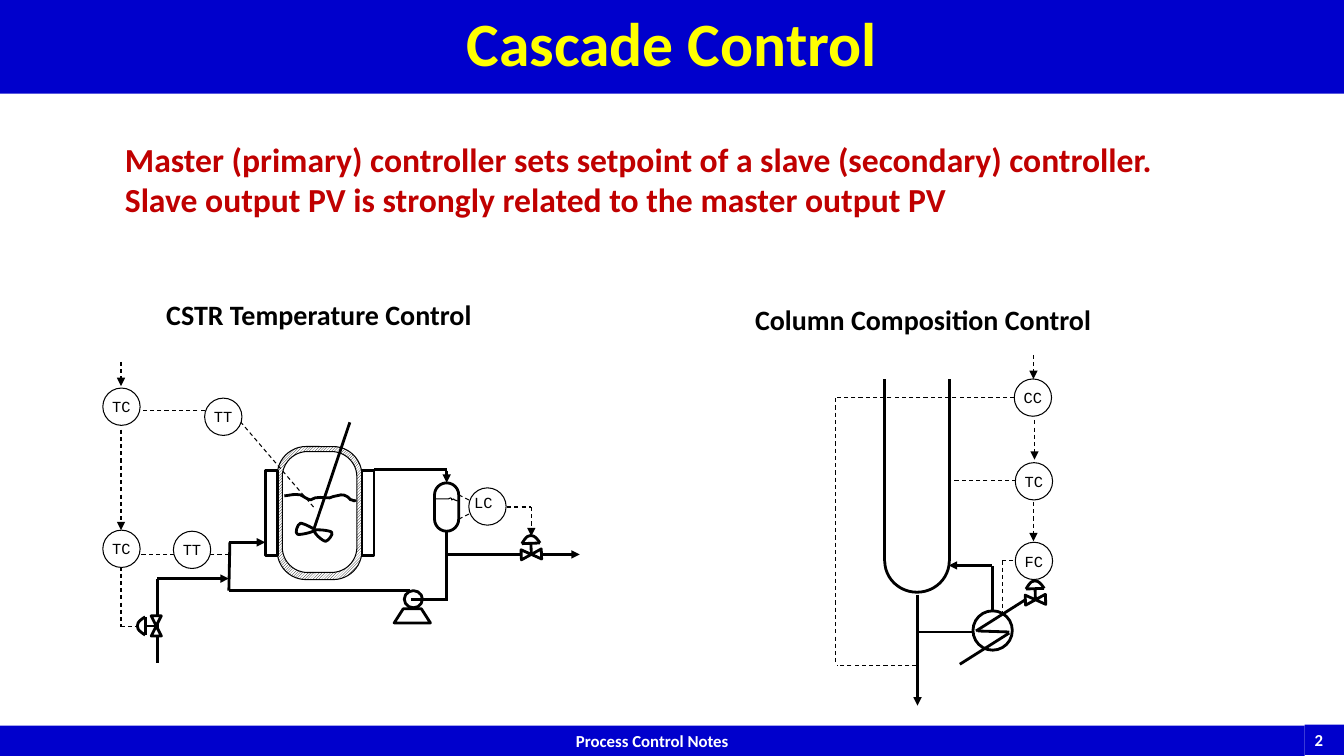
import math

import lxml.etree
import pptx
import pptx.dml.color
import pptx.enum.dml
import pptx.enum.shapes
import pptx.enum.text
import pptx.oxml.ns
import pptx.util

Inches = pptx.util.Inches
Pt = pptx.util.Pt
qn = pptx.oxml.ns.qn
SHAPE = pptx.enum.shapes.MSO_SHAPE
ALIGN = pptx.enum.text.PP_ALIGN
ANCHOR = pptx.enum.text.MSO_ANCHOR
FIT = pptx.enum.text.MSO_AUTO_SIZE.SHAPE_TO_FIT_TEXT

COLOURS = {"band": "0000CC", "title": "FFFF00", "message": "C00000",
           "ink": "000000", "paper": "FFFFFF"}
FONTS = {
    "title": {"name": "Calibri", "size": Pt(44), "bold": True},
    "message": {"name": "Calibri", "size": Pt(24), "bold": True},
    "heading": {"name": "Calibri", "size": Pt(20), "bold": True},
    "footer": {"name": "Calibri", "size": Pt(12), "bold": True},
    "tag": {"name": "Courier New", "size": Pt(11), "bold": False},
}
THIN, THICK = 0.75, 2
TAG_SIZE = 0.37


def colour(name):
    return pptx.dml.color.RGBColor.from_string(COLOURS[name])


def write(box, text, font, ink, align=ALIGN.LEFT, **frame_format):
    frame = box.text_frame
    for key, value in frame_format.items():
        setattr(frame, key, value)
    para = frame.paragraphs[0]
    para.alignment = align
    span = para.add_run()
    span.text = text
    for key, value in FONTS[font].items():
        setattr(span.font, key, value)
    span.font.color.rgb = colour(ink)
    return para


def paint(shape, fill, width):
    shape.shadow.inherit = False
    if fill:
        shape.fill.solid()
        shape.fill.fore_color.rgb = colour(fill)
    else:
        shape.fill.background()
    if width:
        shape.line.color.rgb = colour("ink")
        shape.line.width = Pt(width)
    else:
        shape.line.fill.background()
    return shape


def add_block(shapes, kind, at, fill="paper", width=THICK, rotation=0, corner=None):
    shape = shapes.add_shape(kind, *map(Inches, at))
    shape.rotation = rotation
    if corner is not None:
        shape.adjustments[0] = corner
    return paint(shape, fill, width)


def add_label(shapes, at, text, font, ink):
    box = shapes.add_textbox(*map(Inches, at))
    write(box, text, font, ink, word_wrap=True, auto_size=FIT)


def add_line(shapes, x1, y1, x2, y2, arrow=False, width=THICK, dashed=False):
    line = shapes.add_connector(pptx.enum.shapes.MSO_CONNECTOR.STRAIGHT,
                                *map(Inches, (x1, y1, x2, y2)))
    line.line.color.rgb = colour("ink")
    line.line.width = Pt(width)
    if dashed:
        line.line.dash_style = pptx.enum.dml.MSO_LINE.DASH
    properties = line._element.spPr
    if arrow:
        lxml.etree.SubElement(properties.find(qn("a:ln")), qn("a:tailEnd"), type="triangle")
    lxml.etree.SubElement(properties, qn("a:effectLst"))
    return line


def add_pipes(shapes, runs):
    for run in runs:
        add_line(shapes, *run)


def add_signals(shapes, runs):
    for run in runs:
        add_line(shapes, *run, width=THIN, dashed=True)


def add_outline(shapes, points, fill=None, width=THICK):
    corners = [(Inches(x), Inches(y)) for x, y in points]
    builder = shapes.build_freeform(*corners[0], scale=1.0)
    builder.add_line_segments(corners[1:], close=fill is not None)
    return paint(builder.convert_to_shape(), fill, width)


def add_curve(shapes, points, fill=None, width=THICK):
    shape = add_outline(shapes, points, fill, width)
    outline = next(shape._element.iter(qn("a:path")))
    steps = outline.findall(qn("a:lnTo"))[:len(points) - 1]
    for first in range(0, len(steps), 3):
        bend = lxml.etree.Element(qn("a:cubicBezTo"))
        steps[first].addprevious(bend)
        for step in steps[first:first + 3]:
            bend.append(step[0])
            outline.remove(step)


def add_valve(shapes, x, y, turn):
    angle = math.radians(turn)

    def place(dx, dy):
        return (x + dx * math.cos(angle) - dy * math.sin(angle),
                y + dx * math.sin(angle) + dy * math.cos(angle))

    for side, rotation in ((-0.05, 270), (0.05, 90)):
        cx, cy = place(side, 0)
        add_block(shapes, SHAPE.FLOWCHART_MERGE, (cx - 0.05, cy - 0.05, 0.1, 0.1),
                  rotation=(rotation + turn) % 360)
    add_line(shapes, *place(0, 0), *place(0, -0.11))
    add_line(shapes, *place(-0.09, -0.11), *place(0.09, -0.11))
    dome = [(-0.09, -0.11), (-0.07, -0.14), (-0.05, -0.17), (-0.03, -0.18),
            (-0.01, -0.19), (0.01, -0.19), (0.03, -0.18), (0.05, -0.17),
            (0.08, -0.13), (0.09, -0.11)]
    add_curve(shapes, [place(*point) for point in dome])


def add_instrument(shapes, x, y, tag, align=ALIGN.CENTER, anchor=ANCHOR.MIDDLE):
    circle = add_block(shapes, SHAPE.OVAL, (x, y, TAG_SIZE, TAG_SIZE), width=THIN)
    write(circle, tag, "tag", "ink", align, vertical_anchor=anchor, word_wrap=False,
          margin_left=0, margin_right=0, margin_top=0, margin_bottom=0)


def add_reactor(shapes):
    add_label(shapes, (1.55, 2.9, 3.61, 0.44), "CSTR Temperature Control", "heading", "ink")
    wall = add_block(shapes, SHAPE.ROUNDED_RECTANGLE, (2.75, 4.43, 0.84, 1.32),
                     width=THIN, corner=0.34)
    wall.fill.patterned()
    wall.fill.pattern = pptx.enum.dml.MSO_PATTERN.DARK_UPWARD_DIAGONAL
    wall.fill.fore_color.rgb = colour("ink")
    wall.fill.back_color.rgb = colour("paper")
    add_block(shapes, SHAPE.ROUNDED_RECTANGLE, (2.8, 4.48, 0.74, 1.2), width=THIN, corner=0.34)
    for left in (2.63, 3.59):
        add_block(shapes, SHAPE.RECTANGLE, (left, 4.67, 0.12, 0.84))
    drum = add_block(shapes, SHAPE.ROUNDED_RECTANGLE, (4.31, 4.79, 0.24, 0.48), corner=0.5)
    add_curve(shapes, [
        (2.82, 4.92), (2.9, 4.91), (2.91, 4.9), (2.98, 4.91), (3.02, 4.93), (3.04, 4.95),
        (3.08, 4.96), (3.13, 4.92), (3.22, 4.94), (3.27, 4.94), (3.31, 4.92), (3.35, 4.92),
        (3.38, 4.91), (3.4, 4.91), (3.42, 4.91), (3.43, 4.92), (3.45, 4.92), (3.45, 4.94),
        (3.47, 4.95), (3.47, 4.96), (3.48, 4.96), (3.49, 4.96), (3.5, 4.96), (3.51, 4.97),
        (3.51, 4.97), (3.52, 4.97), (3.53, 4.96), (3.53, 4.96)])
    add_line(shapes, 3.47, 4.19, 3.11, 5.26)
    for blade in (
            [(3.12, 5.26), (3.13, 5.25), (3.01, 5.19), (2.98, 5.19), (2.95, 5.2),
             (2.92, 5.29), (2.95, 5.3), (2.97, 5.31), (3.11, 5.28), (3.12, 5.26)],
            [(3.12, 5.26), (3.1, 5.28), (3.2, 5.37), (3.23, 5.37), (3.25, 5.37),
             (3.31, 5.3), (3.29, 5.28), (3.27, 5.26), (3.13, 5.25), (3.12, 5.26)]):
        add_curve(shapes, blade, "paper")
    add_block(shapes, SHAPE.OVAL, (4.01, 5.86, 0.18, 0.17))
    add_outline(shapes, [(4.27, 6.18), (4.18, 6.04), (4, 6.04), (3.91, 6.18)], "paper")
    add_curve(shapes, [
        (4.31, 4.95), (4.36, 4.95), (4.4, 4.95), (4.45, 4.95), (4.45, 4.95), (4.46, 4.94),
        (4.47, 4.94), (4.48, 4.94), (4.48, 4.95), (4.48, 4.96), (4.49, 4.96), (4.49, 4.95),
        (4.5, 4.95), (4.5, 4.95), (4.5, 4.96), (4.51, 4.96), (4.52, 4.97), (4.53, 4.97),
        (4.54, 4.97)], width=THIN)
    add_line(shapes, 3.95, 5.86, 3.95, 5.86, width=THIN)
    add_pipes(shapes, [
        (4.07, 5.86, 2.27, 5.86), (2.27, 5.86, 2.28, 5.38), (2.27, 5.38, 2.63, 5.38, True),
        (1.56, 5.74, 2.27, 5.74, True), (1.56, 5.74, 1.56, 6.58), (4.08, 5.95, 4.44, 5.95),
        (4.43, 5.5, 5.75, 5.5, True), (3.71, 4.66, 4.43, 4.66)])
    add_line(shapes, 4.43, 4.67, 4.43, 4.79, True).end_connect(drum, 0)
    add_line(shapes, 4.43, 5.27, 4.43, 5.96).begin_connect(drum, 2)
    add_signals(shapes, [
        (3.11, 5.03, 2.39, 4.19), (2.03, 4.07, 1.39, 4.07), (2.27, 5.5, 2.03, 5.5),
        (1.73, 5.5, 1.37, 5.5), (1.2, 4.19, 1.2, 5.26, True), (1.2, 5.62, 1.2, 6.22),
        (1.2, 6.22, 1.38, 6.22), (4.55, 4.91, 4.79, 5.03), (4.55, 5.15, 4.79, 5.03),
        (5.03, 5.03, 5.27, 5.03), (5.27, 5.03, 5.27, 5.32, True), (1.2, 3.59, 1.2, 3.83, True)])
    add_valve(shapes, 1.55, 6.21, -90)
    add_valve(shapes, 5.27, 5.5, -2.2)
    for x, y, tag in ((2.03, 3.95, "TT"), (1.02, 3.85, "TC"), (1.02, 5.26, "TC"),
                      (1.72, 5.27, "TT")):
        add_instrument(shapes, x, y, tag)
    add_instrument(shapes, 4.65, 4.84, "LC", ALIGN.LEFT, ANCHOR.TOP)


def add_column(shapes):
    add_block(shapes, SHAPE.LEFT_BRACKET, (8.94, 5.4, 0.31, 0.64), None,
              rotation=270, corner=1.6)
    add_block(shapes, SHAPE.OVAL, (9.65, 6.06, 0.39, 0.39), None)
    add_pipes(shapes, [
        (8.77, 5.57, 8.77, 3.76), (9.42, 5.57, 9.42, 3.76), (10.17, 5.95, 9.68, 6.26),
        (9.7, 6.26, 10.01, 6.27), (10.01, 6.28, 9.52, 6.59), (9.1, 5.9, 9.1, 7, True),
        (9.1, 6.27, 9.65, 6.27), (9.84, 6.06, 9.84, 5.62), (9.84, 5.61, 9.41, 5.61, True)])
    add_valve(shapes, 10.27, 5.95, -2.2)
    for x, y, tag in ((10.07, 5.38, "FC"), (10.07, 4.59, "TC"), (10.06, 3.76, "CC")):
        add_instrument(shapes, x, y, tag)
    add_signals(shapes, [
        (10.08, 4.77, 9.41, 4.77), (10.26, 4.17, 10.26, 4.56, True),
        (10.25, 4.98, 10.25, 5.37, True), (10.05, 5.56, 9.93, 5.56), (9.94, 5.56, 9.94, 6.07),
        (10.25, 3.52, 10.25, 3.76, True), (9.09, 6.6, 8.3, 6.6), (8.29, 3.95, 8.29, 6.59),
        (10.06, 3.94, 8.29, 3.94)])
    add_label(shapes, (7.39, 2.95, 3.61, 0.44), "Column Composition Control", "heading", "ink")


def main():
    deck = pptx.Presentation()
    deck.slide_width, deck.slide_height = Inches(13.33), Inches(7.5)
    page = deck.slides.add_slide(deck.slide_layouts[5])
    footer = add_block(page.shapes, SHAPE.RECTANGLE, (0, 7.2, 12.94, 0.3), "band", None)
    write(footer, "Process Control Notes", "footer", "paper", ALIGN.CENTER, auto_size=FIT)
    number = add_block(page.shapes, SHAPE.RECTANGLE, (12.94, 7.19, 0.4, 0.3), "band", None)
    write(number, "2", "footer", "paper", word_wrap=False, auto_size=FIT)
    title = page.shapes.title
    for key, value in {"left": 0, "top": 0, "width": 13.33, "height": 0.93}.items():
        setattr(title, key, Inches(value))
    title.fill.solid()
    title.fill.fore_color.rgb = colour("band")
    heading = write(title, "Cascade Control", "title", "title", ALIGN.CENTER,
                    vertical_anchor=ANCHOR.MIDDLE)
    heading.line_spacing = 0.9
    add_label(page.shapes, (1.14, 1.33, 10.81, 0.91),
              "Master (primary) controller sets setpoint of a slave (secondary) controller. "
              "Slave output PV is strongly related to the master output PV", "message", "message")
    for draw in (add_reactor, add_column):
        draw(page.shapes.add_group_shape().shapes)
    deck.save("out.pptx")


if __name__ == "__main__":
    main()
